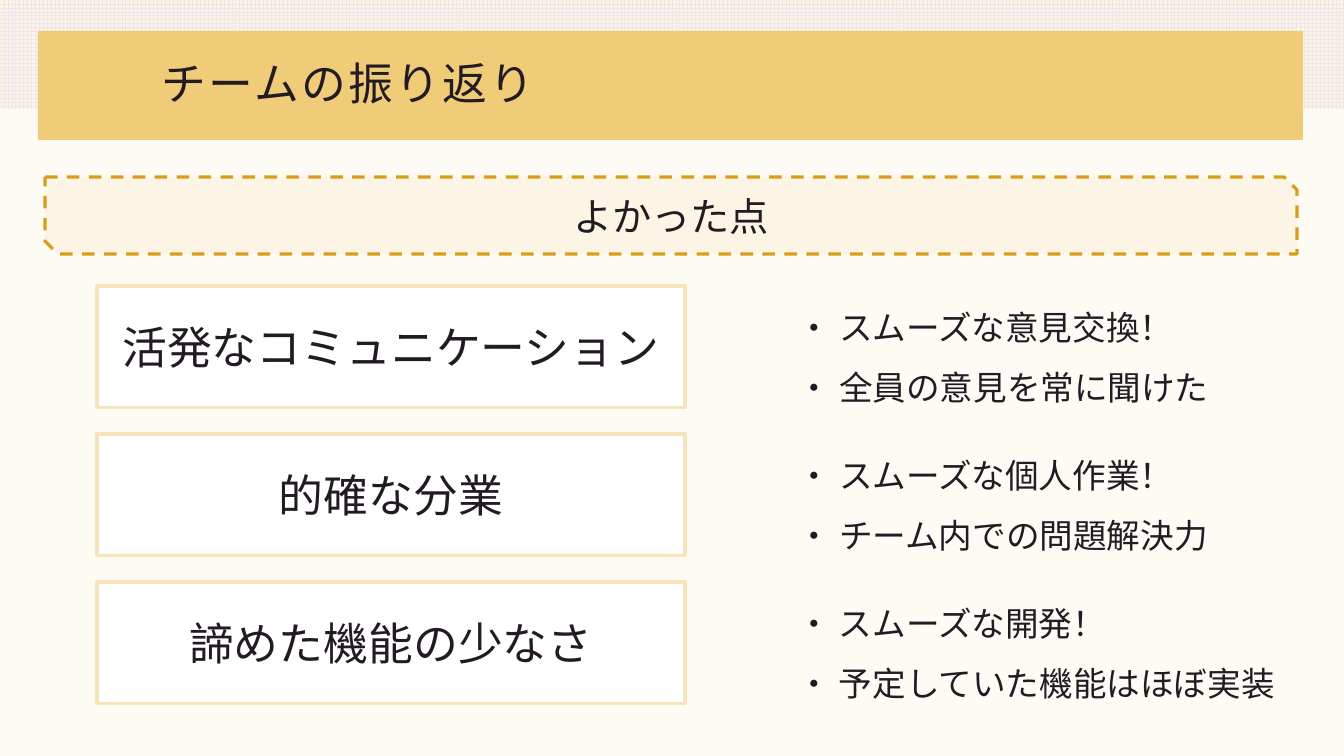
from dataclasses import dataclass

from lxml import etree
from pptx import Presentation
from pptx.dml.color import RGBColor
from pptx.enum.dml import MSO_LINE, MSO_PATTERN
from pptx.enum.shapes import MSO_SHAPE
from pptx.enum.text import MSO_ANCHOR, PP_ALIGN
from pptx.oxml.ns import qn
from pptx.util import Pt

RECT = MSO_SHAPE.RECTANGLE
SNIPPED = MSO_SHAPE.SNIP_2_DIAG_RECTANGLE
MIDDLE = MSO_ANCHOR.MIDDLE
LEFT, CENTER = PP_ALIGN.LEFT, PP_ALIGN.CENTER
DASH = MSO_LINE.DASH
LARGE_GRID = MSO_PATTERN.LARGE_GRID

EMU_PER_PX = 914400 / 100.8
SLIDE_W, SLIDE_H = 1344, 756


@dataclass(frozen=True)
class Theme:
    font: str = "Noto Sans CJK JP"
    ink: str = "231B23"
    paper: str = "FEFBF5"
    cream: str = "FCF5E5"
    grid: str = "EBE6EB"
    gold: str = "F0CC79"
    dark_gold: str = "D89E19"
    pale_gold: str = "F7E4BA"
    white: str = "FFFFFF"
    heading: int = 32
    banner: int = 28
    note: int = 24
    line: float = 2.25


THEME = Theme()
TITLE = "チームの振り返り"
BANNER = "よかった点"
POINTS = [
    ("活発なコミュニケーション", ["・ スムーズな意見交換！", "・ 全員の意見を常に聞けた"], 493),
    ("的確な分業", ["・ スムーズな個人作業！", "・ チーム内での問題解決力"], 493),
    ("諦めた機能の少なさ", ["・ スムーズな開発！", "・ 予定していた機能はほぼ実装"], 556),
]


def px(*lengths):
    return [round(n * EMU_PER_PX) for n in lengths]


def rgb(color):
    return RGBColor.from_string(color)


def add_box(s, box, fill, line=None, shape=RECT):
    sp = s.shapes.add_shape(shape, *px(*box))
    sp.shadow.inherit = False
    sp.fill.solid()
    sp.fill.fore_color.rgb = rgb(fill)
    if line:
        sp.line.color.rgb = rgb(line)
        sp.line.width = Pt(THEME.line)
    else:
        sp.line.fill.background()
    return sp


def write(sp, lines, size, align=CENTER, line_spacing=None, tracking=None):
    """Fill a shape with one paragraph per line; tracking is in 1/100 pt."""
    tf = sp.text_frame
    tf.word_wrap = True
    tf.vertical_anchor = MIDDLE
    for i, line in enumerate(lines):
        p = tf.add_paragraph() if i else tf.paragraphs[0]
        p.add_run().text = line
        p.alignment = align
        p.line_spacing = line_spacing
        p.font.size = Pt(size)
        p.font.name = THEME.font
        p.font.color.rgb = rgb(THEME.ink)
        props = p._p.pPr.find(qn("a:defRPr"))
        etree.SubElement(props, qn("a:ea"), typeface=THEME.font)
        if tracking:
            props.set("spc", str(tracking))


def add_header(s, x, y, w, h):
    """Gridded strip with the gold title bar hanging over its lower edge."""
    strip = add_box(s, (x, y, w, h), THEME.cream)
    strip.fill.patterned()
    strip.fill.pattern = LARGE_GRID
    strip.fill.fore_color.rgb = rgb(THEME.grid)
    strip.fill.back_color.rgb = rgb(THEME.cream)
    add_box(s, (x + 38, y + 31, w - 79, h), THEME.gold)
    title = s.shapes.add_textbox(*px(x + 152, y + 53, w - 223, 65))
    write(title, [TITLE], THEME.heading, LEFT, 0.9, 150)


def add_banner(s, *box):
    sp = add_box(s, box, THEME.cream, THEME.dark_gold, SNIPPED)
    sp.line.dash_style = DASH
    write(sp, [BANNER], THEME.banner)


def add_points(s, x, y, h):
    """Stack of framed headings, each with its notes to the right."""
    row_h = 122
    pitch = (h - row_h) / (len(POINTS) - 1)
    for i, (heading, notes, notes_w) in enumerate(POINTS):
        top = y + i * pitch
        card = add_box(s, (x, top, 588, row_h), THEME.white, THEME.pale_gold)
        write(card, [heading], THEME.heading)
        side = add_box(s, (x + 691, top, notes_w, row_h), THEME.paper, THEME.paper)
        write(side, notes, THEME.note, LEFT, 1.5)


def main():
    prs = Presentation()
    prs.slide_width, prs.slide_height = px(SLIDE_W, SLIDE_H)
    s = prs.slides.add_slide(prs.slide_layouts[6])
    s.background.fill.solid()
    s.background.fill.fore_color.rgb = rgb(THEME.paper)
    add_header(s, 0, 0, SLIDE_W, 109)
    add_banner(s, 45, 177, 1252, 77)
    add_points(s, 97, 286, 418)
    prs.save("out.pptx")


if __name__ == "__main__":
    main()
